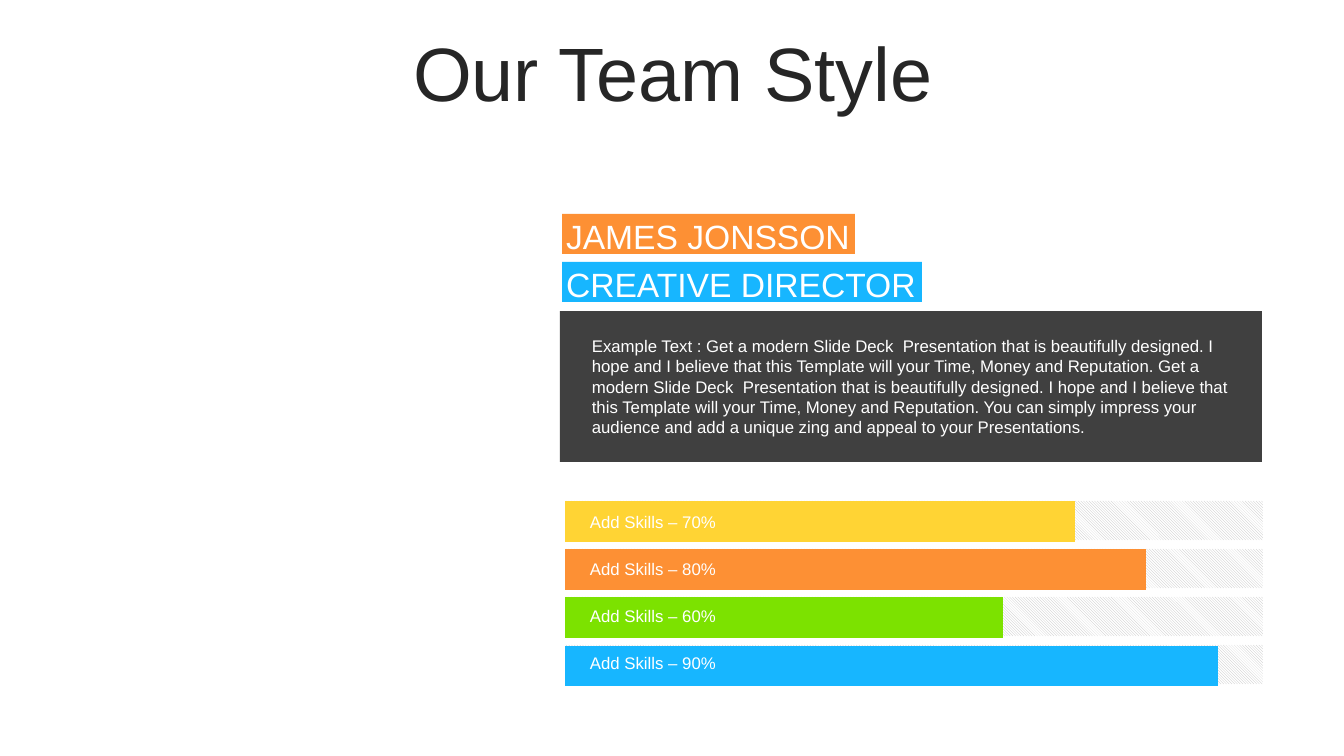
from lxml import etree
from pptx import Presentation
from pptx import util as u
from pptx.chart.data import CategoryChartData
from pptx.dml.color import RGBColor
from pptx.enum import chart as ch, dml, shapes, text
from pptx.oxml import ns

FONT = "Arial"
SCALE = 914400 / 100.8
SKILLS = [
    ("Add Skills – 70%", 78, "FFD434"),
    ("Add Skills – 80%", 89, "FD9034"),
    ("Add Skills – 60%", 67, "7CE200"),
    ("Add Skills – 90%", 100, "17B6FF"),
]
PITCH = "Get a modern Slide Deck  Presentation that is beautifully designed. "
HOPE = ("I hope and I believe that this Template will your Time, "
        "Money and Reputation. ")
CLOSE = ("You can simply impress your audience and add a unique zing "
         "and appeal to your Presentations.")
ABOUT = "Example Text : " + (PITCH + HOPE) * 2 + CLOSE


def px(n):
    return u.Emu(round(n * SCALE))


def emu(*box):
    return [px(n) for n in box]


def color(code):
    return RGBColor.from_string(code)


def write(shape, words, size, ink="FFFFFF", pad=None):
    frame = shape.text_frame
    frame.word_wrap = True
    frame.vertical_anchor = text.MSO_ANCHOR.TOP
    if pad is not None:
        frame.margin_left = frame.margin_right = px(pad)
        frame.margin_top = frame.margin_bottom = 0
    line = frame.paragraphs[0]
    line.text = words
    line.alignment = text.PP_ALIGN.LEFT
    line.font.name = FONT
    line.font.size = u.Pt(size)
    line.font.color.rgb = color(ink)
    return line


def add_rect(slide, box, fill=None):
    rect = slide.shapes.add_shape(shapes.MSO_SHAPE.RECTANGLE, *emu(*box))
    rect.shadow.inherit = False
    rect.line.fill.background()
    if fill:
        rect.fill.solid()
        rect.fill.fore_color.rgb = color(fill)
    return rect


def add_title(slide, box):
    title = slide.shapes.add_textbox(*emu(*box))
    line = write(title, "Our Team Style", 54, "262626")
    line.alignment = text.PP_ALIGN.CENTER
    line.line_spacing = 0.9
    title.text_frame.vertical_anchor = text.MSO_ANCHOR.MIDDLE


def add_track(slide, box):
    track = add_rect(slide, box)
    track.fill.patterned()
    track.fill.pattern = dml.MSO_PATTERN.DARK_DOWNWARD_DIAGONAL
    track.fill.fore_color.rgb = color("BFBFBF")
    track.fill.back_color.rgb = color("FFFFFF")


def set_plot(chart, **sides):
    area = chart.plots[0]._element.getparent()
    for old in area.findall(ns.qn("c:layout")):
        area.remove(old)
    layout = etree.Element(ns.qn("c:layout"))
    manual = etree.SubElement(layout, ns.qn("c:manualLayout"))
    modes = {"layoutTarget": "inner", "xMode": "edge", "yMode": "edge"}
    for tag, val in {**modes, **sides}.items():
        etree.SubElement(manual, ns.qn("c:" + tag)).set("val", str(val))
    area.insert(0, layout)


def add_bars(slide, box):
    rows = SKILLS[::-1]
    data = CategoryChartData()
    data.categories = [str(i + 1) for i in range(len(rows))]
    data.add_series("Series 1", [row[1] for row in rows])
    chart = slide.shapes.add_chart(
        ch.XL_CHART_TYPE.BAR_STACKED, *emu(*box), data).chart
    chart.has_legend = chart.has_title = False
    chart.font.name = FONT
    chart.font.size = u.Pt(12)
    chart.font.color.rgb = color("000000")
    for axis in (chart.category_axis, chart.value_axis):
        axis.has_major_gridlines = False
        axis.visible = False
    chart.value_axis.minimum_scale = 0
    chart.value_axis.maximum_scale = 111
    plot = chart.plots[0]
    plot.vary_by_categories = False
    plot.gap_width = 20
    plot.overlap = 100
    bars = plot.series[0]
    bars.format.fill.solid()
    bars.format.fill.fore_color.rgb = color("404040")
    for i, row in enumerate(rows):
        fill = bars.points[i].format.fill
        fill.solid()
        fill.fore_color.rgb = color(row[2])
    set_plot(chart, x=0.04, y=0.12, w=0.95, h=0.87)


def add_skills(slide, box):
    x, y, w, h = box
    step = h // len(SKILLS)
    for i in range(len(SKILLS)):
        add_track(slide, (x, y + i * step, w, 39))
    add_bars(slide, (x - 32, y - 30, w + 67, h + 29))
    for i, (words, _, _) in enumerate(SKILLS):
        spot = (x + 24, y + 11 + i * (step - 1), 225, 20)
        write(slide.shapes.add_textbox(*emu(*spot)), words, 12, pad=0)


def add_profile(slide, box):
    x, y, w, h = box
    tags = [("JAMES JONSSON", 293, "FD9034"),
            ("CREATIVE DIRECTOR", 360, "17B6FF")]
    for i, (words, wide, fill) in enumerate(tags):
        tag = add_rect(slide, (x + 2, y + i * 48, wide, 40), fill)
        write(tag, words, 24, pad=4).line_spacing = u.Pt(30)
    add_rect(slide, (x, y + 97, w, h - 97), "404040")
    note = slide.shapes.add_textbox(*emu(x + 22, y + 117, w - 43, h - 136))
    write(note, ABOUT, 12)


def main():
    deck = Presentation()
    deck.slide_width, deck.slide_height = emu(1344, 756)
    slide = deck.slides.add_slide(deck.slide_layouts[6])
    add_title(slide, (35, 37, 1276, 80))
    add_skills(slide, (566, 501, 697, 192))
    add_profile(slide, (560, 214, 702, 248))
    deck.save("out.pptx")


if __name__ == "__main__":
    main()
